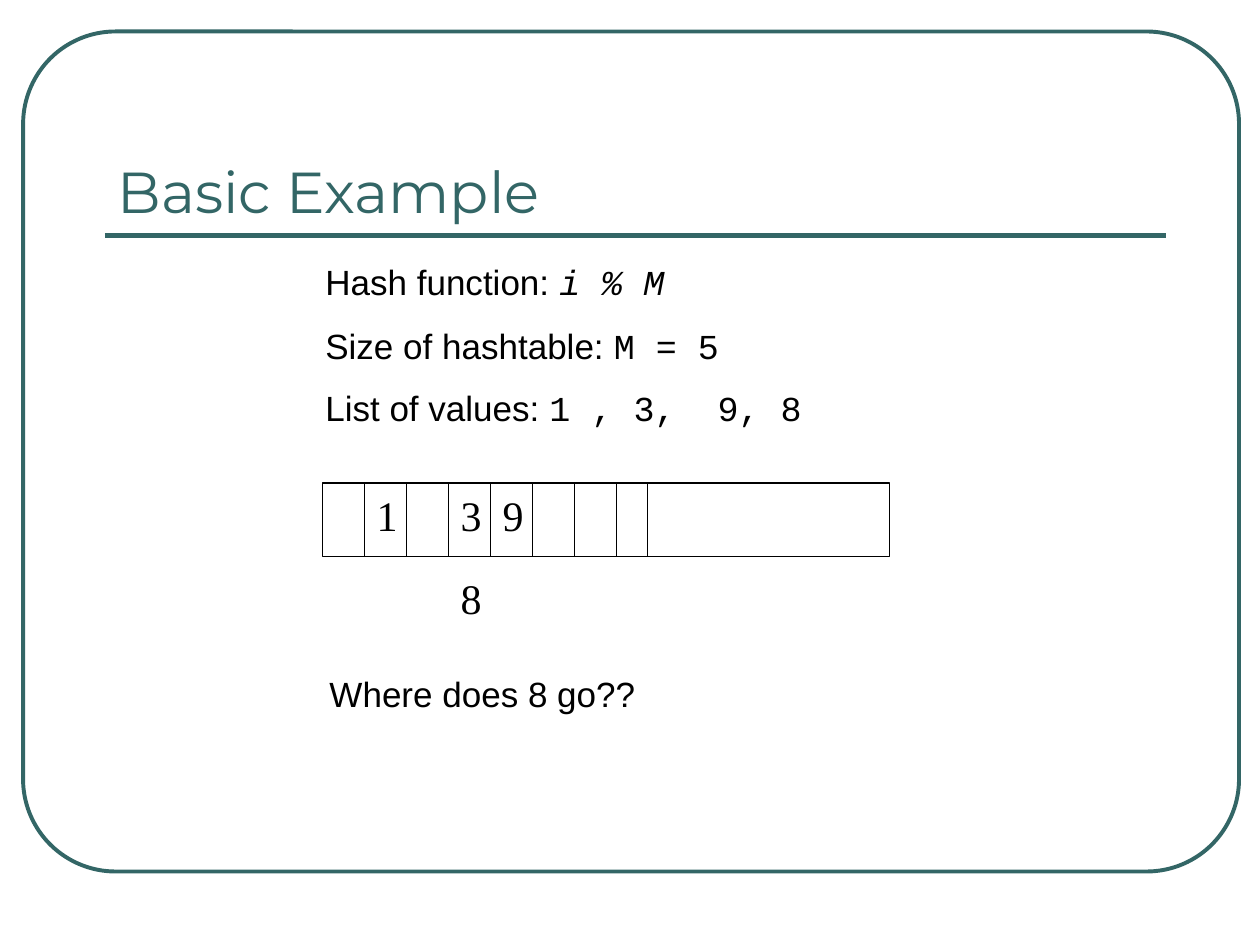
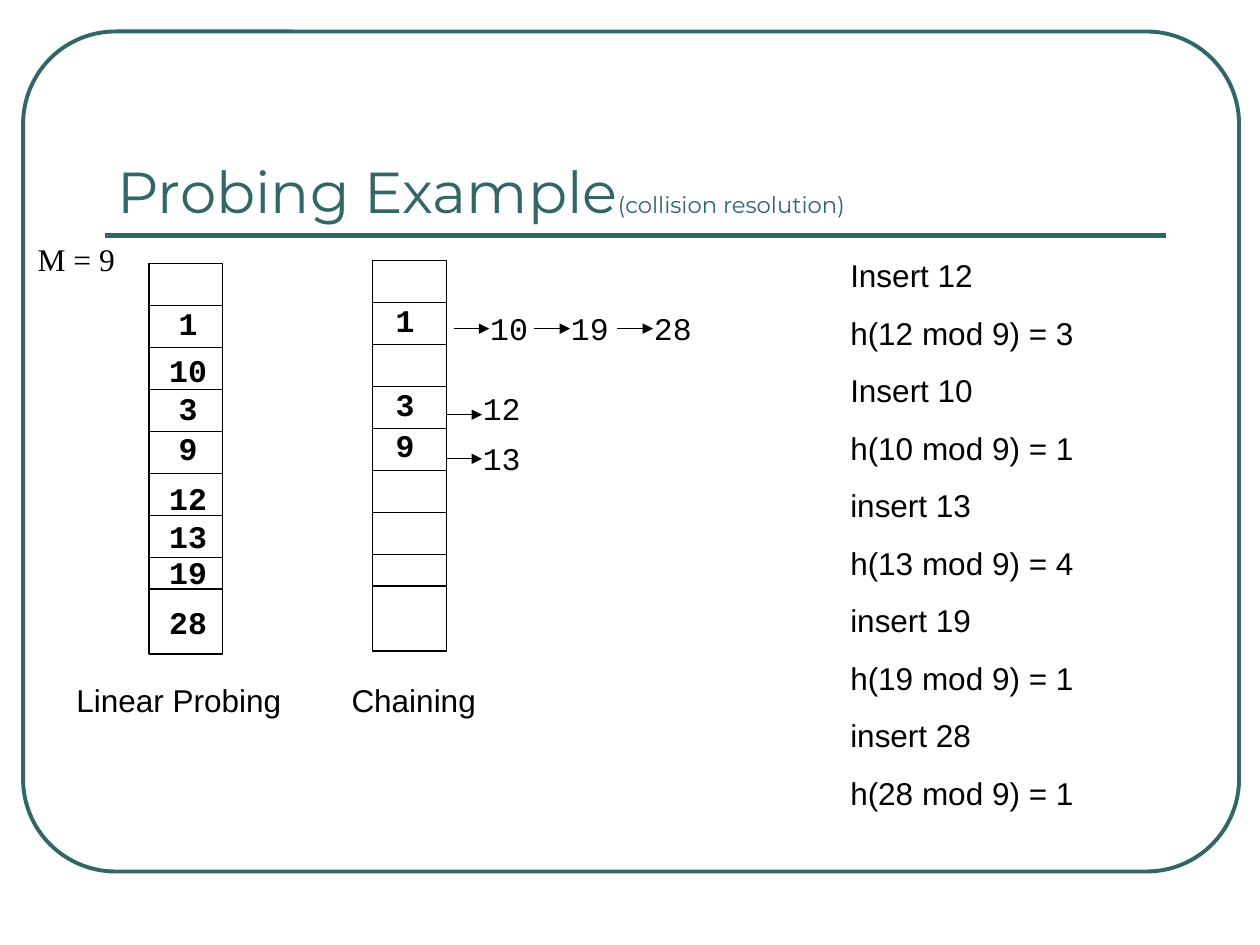
from lxml.etree import SubElement
from pptx import Presentation
from pptx.dml.color import RGBColor
from pptx.enum.shapes import MSO_CONNECTOR as CONN, MSO_SHAPE as SHAPE
from pptx.enum.text import MSO_ANCHOR as ANCHOR, MSO_AUTO_SIZE as FIT, PP_ALIGN as ALIGN
from pptx.oxml.ns import qn
from pptx.util import Inches, Pt

COLS, ROWS = 120, 90
WIDTH, HEIGHT = Inches(10), Inches(7.5)
SANS, MONO, SERIF, HEAD = "Arial", "Courier New", "Times New Roman", "Montserrat"
TEAL, BLACK = "336666", "000000"
# Offsets of the dividers along a hash table: seven equal slots, then a short one
DIVIDERS = [*range(4, 29, 4), 31]
THICK = 7


def rgb(hex_string):
    return RGBColor.from_string(hex_string)


class Deck:
    """Holds the style and the current slide; lengths are grid columns and rows."""

    def __init__(self):
        self.prs = Presentation()
        self.prs.slide_width, self.prs.slide_height = WIDTH, HEIGHT
        self.s = None

    def x(self, cols):
        return round(WIDTH * cols / COLS)

    def y(self, rows):
        return round(HEIGHT * rows / ROWS)

    def box(self, left, top, width, height):
        return self.x(left), self.y(top), self.x(width), self.y(height)

    def slide(self, *title):
        """Start a slide with its frame, rule and title; title is (text, size) runs."""
        self.s = self.prs.slides.add_slide(self.prs.slide_layouts[5])
        self.rect(2.2, 3, 115.8, 80, SHAPE.ROUNDED_RECTANGLE, TEAL, 2.25).adjustments[0] = 0.11
        self.line(10, 22.4, 111, 22.4, TEAL, 3)
        sp = self.s.shapes.title
        sp.left, sp.top, sp.width, sp.height = self.box(10, 7, 101, 15)
        tf = sp.text_frame
        tf.word_wrap, tf.auto_size, tf.vertical_anchor = True, FIT.NONE, ANCHOR.BOTTOM
        p = tf.paragraphs[0]
        p.alignment = ALIGN.LEFT
        for text, size in title:
            self.run(p, text, size, HEAD, TEAL)

    def run(self, p, text, size, font, color=BLACK, bold=False, italic=False):
        r = p.add_run()
        r.text = text
        f = r.font
        f.size, f.name, f.bold, f.italic = Pt(size), font, bold, italic
        f.color.rgb = rgb(color)

    def text(self, left, top, width, height, paragraphs, size=18, font=SANS,
             bold=False, align=ALIGN.LEFT, wrap=True):
        """Each paragraph is a string, or a list of (text, font, italic) runs."""
        tf = self.s.shapes.add_textbox(*self.box(left, top, width, height)).text_frame
        tf.word_wrap, tf.auto_size = wrap, FIT.SHAPE_TO_FIT_TEXT
        for i, runs in enumerate(paragraphs):
            p = tf.add_paragraph() if i else tf.paragraphs[0]
            p.alignment, p.space_before = align, Pt(size * 0.625)
            if isinstance(runs, str):
                runs = [(runs, font, False)]
            for text, face, italic in runs:
                self.run(p, text, size, face, bold=bold, italic=italic)

    def rect(self, left, top, width, height, kind=SHAPE.RECTANGLE, color=BLACK, weight=0.75):
        sp = self.s.shapes.add_shape(kind, *self.box(left, top, width, height))
        sp.shadow.inherit = False
        sp.fill.background()
        sp.line.color.rgb, sp.line.width = rgb(color), Pt(weight)
        return sp

    def line(self, x1, y1, x2, y2, color=BLACK, weight=0.75, arrow=False):
        c = self.s.shapes.add_connector(CONN.STRAIGHT, self.x(x1), self.y(y1),
                                        self.x(x2), self.y(y2))
        c.line.color.rgb, c.line.width = rgb(color), Pt(weight)
        if arrow:
            SubElement(c.line._get_or_add_ln(), qn("a:tailEnd"), type="triangle")
        SubElement(c._element.spPr, qn("a:effectLst"))

    def row_table(self, left, top, length):
        self.rect(left, top, length, THICK)
        for d in DIVIDERS:
            self.line(left + d, top, left + d, top + THICK)

    def column_table(self, left, top, length):
        self.rect(left, top, THICK, length)
        for d in DIVIDERS:
            self.line(left, top + d, left + THICK, top + d)

    def chain_node(self, value, left, top, arrow_y):
        """An arrow and the chained value it points to."""
        self.line(left, arrow_y, left + 3.4, arrow_y, arrow=True)
        self.text(left + 2.3, top, 6, 4.8, [value], font=MONO, wrap=False)


def basic_example(d):
    d.slide(("Basic Example", 33))

    # Givens
    d.text(29.8, 24.2, 58, 17.4, [
        [("Hash function: ", SANS, False), ("i % M", MONO, True)],
        [("Size of hashtable: ", SANS, False), ("M = 5", MONO, False)]], size=20)
    d.text(29.8, 36.2, 51, 5.3, [
        [("List of values: ", SANS, False), ("1 , 3,  9, 8", MONO, False)]], size=20)

    # Hash table, with the colliding value below its slot
    left, top = 30.7, 46
    d.row_table(left, top, 54)
    for value, slot, drop in [("1", 1, 0), ("3", 3, 0), ("9", 4, 0), ("8", 3, 7.9)]:
        d.text(left + 4 * slot, top + drop, 7, 6, [value], size=24, font=SERIF)

    d.text(30.2, 63.5, 70, 5.3, ["Where does 8 go??"], size=20)


def probing_example(d):
    d.slide(("Probing Example", 33), ("(collision resolution)", 13))
    d.text(2.4, 22.3, 17, 4.8, ["M = 9"], font=SERIF)

    # Linear probing
    top = 25.1
    d.column_table(14.2, top, 37.2)
    for value, drop in [("1", 3.3), ("10", 7.7), ("3", 11.4), ("9", 15.2),
                        ("12", 19.9), ("13", 23.6), ("19", 27), ("28", 31.7)]:
        d.text(14.1, top + drop, 7.6, 4.8, [value], font=MONO, bold=True, align=ALIGN.CENTER)

    # Chaining
    top = 24.8
    d.column_table(35.5, top, 37.2)
    for value, drop in [("1", 3.3), ("3", 11.3), ("9", 15.2)]:
        d.text(36.5, top + drop, 7, 4.8, [value], font=MONO, bold=True)
    for value, left in [("10", 43.2), ("19", 50.9), ("28", 58.8)]:
        d.chain_node(value, left, 28.8, 31.3)
    d.chain_node("12", 42.5, 36.5, 39.5)
    d.chain_node("13", 42.5, 41.2, 43.7)

    # Captions
    for caption, left in [("Linear Probing", 6.1), ("Chaining", 32.3)]:
        d.text(left, 64.3, 24, 4.8, [caption])

    # Insertion steps
    steps = []
    for verb, key in [("Insert", 12), ("Insert", 10), ("insert", 13),
                      ("insert", 19), ("insert", 28)]:
        steps += [f"{verb} {key}", f"h({key} mod 9) = {key % 9}"]
    d.text(79.8, 23.8, 31.7, 59.6, steps)


def main():
    d = Deck()
    basic_example(d)
    probing_example(d)
    d.prs.save("out.pptx")


if __name__ == "__main__":
    main()
